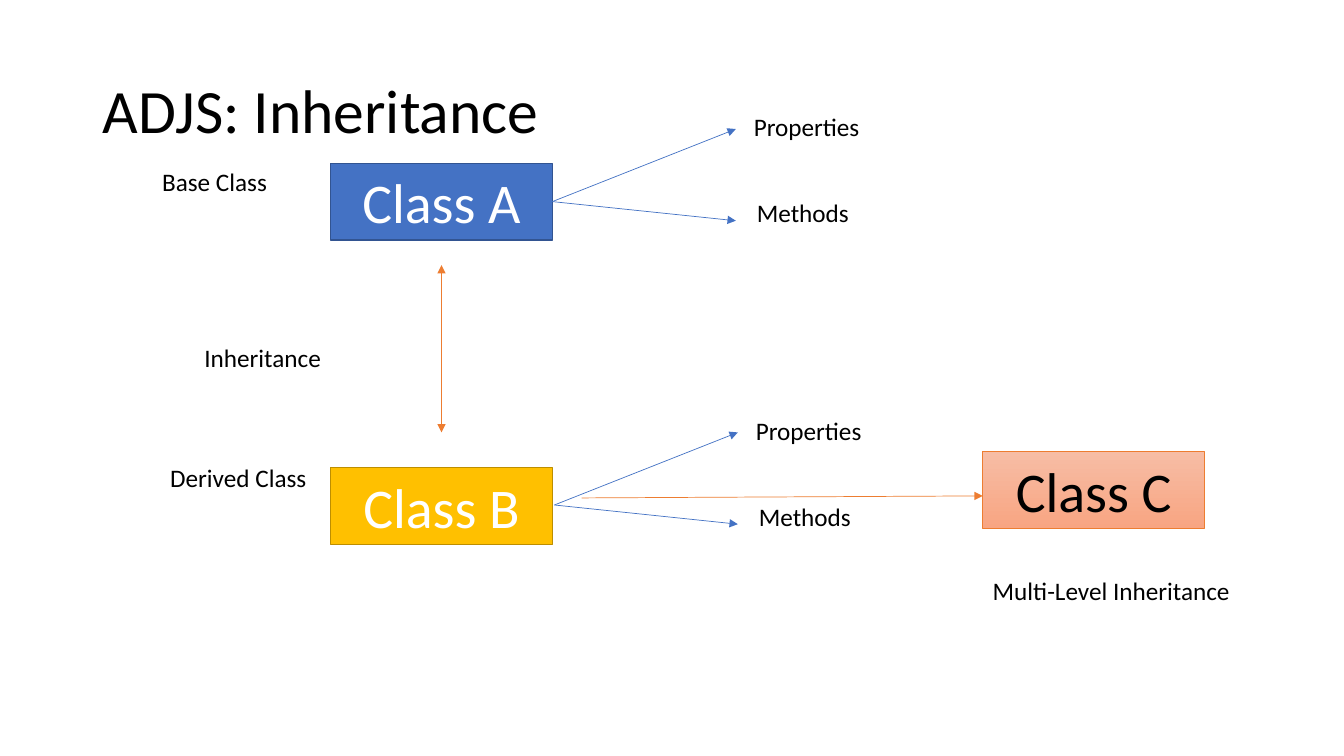
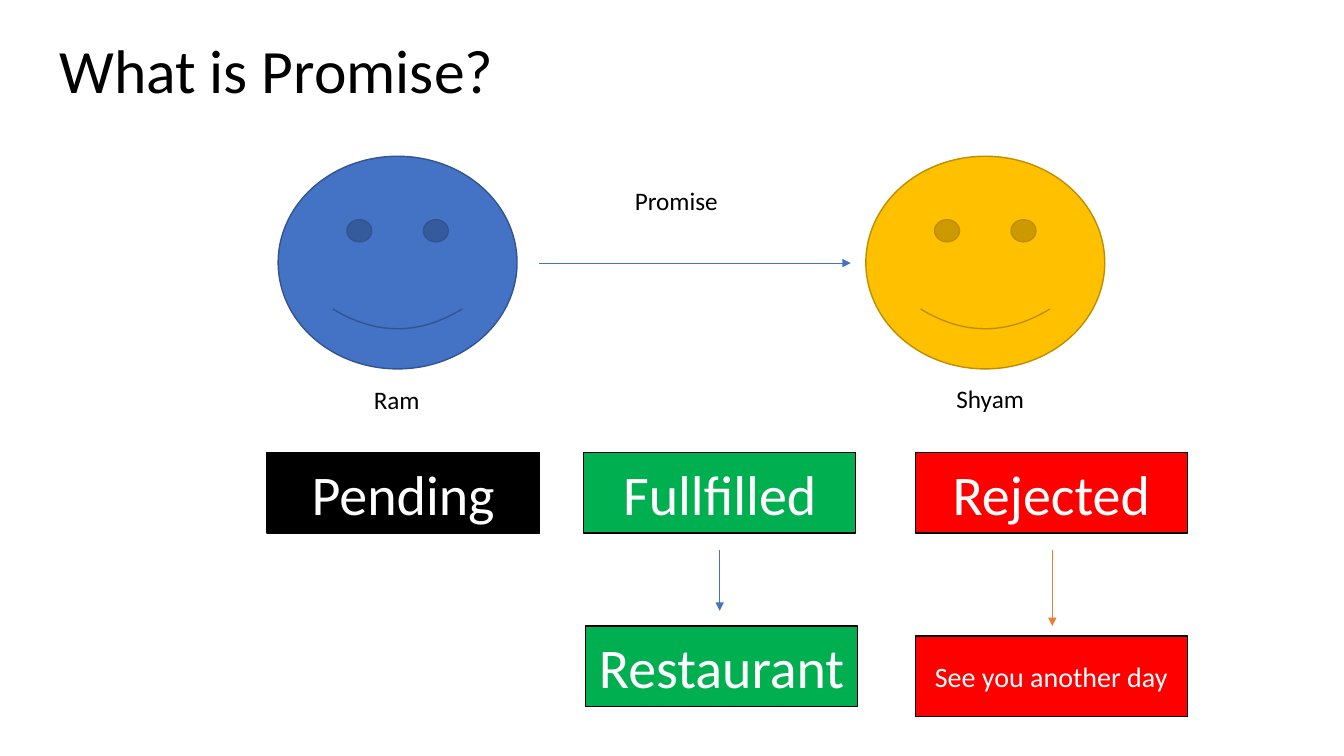
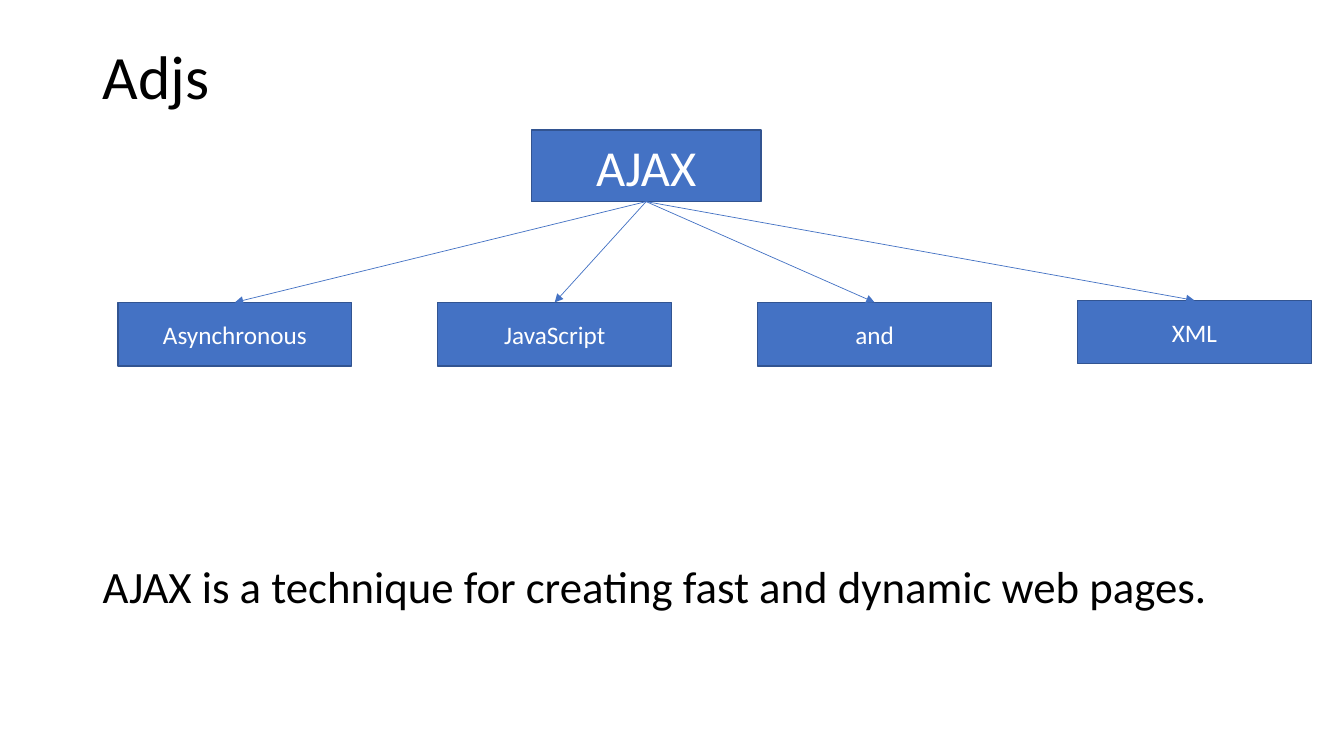
from lxml import etree
from pptx import Presentation
from pptx import util as u
from pptx.dml import color as dml
from pptx.enum import shapes, text
from pptx.oxml import ns

FONT = "Calibri"
BLACK = dml.RGBColor(0x00, 0x00, 0x00)
WHITE = dml.RGBColor(0xFF, 0xFF, 0xFF)
BLUE = dml.RGBColor(0x44, 0x72, 0xC4)
NAVY = dml.RGBColor(0x32, 0x54, 0x91)
GOLD = dml.RGBColor(0xFF, 0xC0, 0x00)
OLIVE = dml.RGBColor(0xBD, 0x8E, 0x00)
ORANGE = dml.RGBColor(0xED, 0x7D, 0x31)
PALE_PEACH = dml.RGBColor(0xF7, 0xBD, 0xA5)
PEACH = dml.RGBColor(0xF8, 0xA5, 0x82)
GREEN = dml.RGBColor(0x00, 0xB0, 0x50)
RED = dml.RGBColor(0xFF, 0x00, 0x00)


def write(frame, words, size=18, color=BLACK, align=text.PP_ALIGN.LEFT,
          anchor=text.MSO_ANCHOR.TOP, wrap=True, spacing=None):
    frame.word_wrap = wrap
    frame.vertical_anchor = anchor
    para = frame.paragraphs[0]
    para.alignment = align
    para.line_spacing = spacing
    span = para.add_run()
    span.text = words
    span.font.name = FONT
    span.font.size = u.Pt(size)
    span.font.color.rgb = color


class Builder:
    def __init__(self):
        self.deck = Presentation()
        self.deck.slide_width = u.Pt(960)
        self.deck.slide_height = u.Pt(540)
        self.page = None

    def start(self, title, left=66.24, top=28.8, height=104.4):
        self.page = self.deck.slides.add_slide(self.deck.slide_layouts[6])
        box = self.page.shapes.add_textbox(*map(u.Pt, (left, top, 828, height)))
        write(box.text_frame, title, size=44, spacing=0.9,
              anchor=text.MSO_ANCHOR.MIDDLE)

    def label(self, words, left, top, width, height=28.8, **look):
        box = self.page.shapes.add_textbox(*map(u.Pt, (left, top, width, height)))
        write(box.text_frame, words, **look)
        box.text_frame.auto_size = text.MSO_AUTO_SIZE.SHAPE_TO_FIT_TEXT

    def shape(self, left, top, width, height, fill, line, weight=1,
              kind=shapes.MSO_SHAPE.RECTANGLE):
        shape = self.page.shapes.add_shape(
            kind, *map(u.Pt, (left, top, width, height)))
        shape.shadow.inherit = False
        if isinstance(fill, list):
            shape.fill.gradient()
            shape.fill.gradient_angle = 270
            for stop, color in zip(shape.fill.gradient_stops, fill):
                stop.color.rgb = color
        else:
            shape.fill.solid()
            shape.fill.fore_color.rgb = fill
        shape.line.color.rgb = line
        shape.line.width = u.Pt(weight)
        return shape

    def block(self, words, left, top, width, height, fill=BLUE, line=NAVY,
              weight=1, size=40, color=WHITE):
        shape = self.shape(left, top, width, height, fill, line, weight)
        write(shape.text_frame, words, size=size, color=color,
              align=text.PP_ALIGN.CENTER, anchor=text.MSO_ANCHOR.MIDDLE)

    def arrow(self, x1, y1, x2, y2, color=BLUE, both=False):
        arrow = self.page.shapes.add_connector(
            shapes.MSO_CONNECTOR.STRAIGHT, *map(u.Pt, (x1, y1, x2, y2)))
        arrow.line.color.rgb = color
        arrow.line.width = u.Pt(0.5)
        props = arrow.element.spPr
        outline = props.find(ns.qn("a:ln"))
        for end in ("a:headEnd", "a:tailEnd") if both else ("a:tailEnd",):
            etree.SubElement(outline, ns.qn(end), type="triangle")
        etree.SubElement(props, ns.qn("a:effectLst"))

    def members(self, x, y):
        self.arrow(x, y, x + 131.04, y - 51.84)
        self.arrow(x, y, x + 131.04, y + 13.68)
        self.label("Properties", x + 136.8, y - 67.68, 90.72, wrap=False)
        self.label("Methods", x + 138.96, y - 6.48, 80.64, wrap=False)


def inheritance(builder):
    builder.start("ADJS: Inheritance")
    size = (158.4, 54.72)
    builder.block("Class A", 236.16, 116.64, *size)
    builder.block("Class B", 236.16, 334.08, *size, fill=GOLD, line=OLIVE)
    builder.block("Class C", 702, 322.56, *size, fill=[PALE_PEACH, PEACH],
                  line=ORANGE, weight=0.5, color=BLACK)
    builder.members(394.56, 144)
    builder.members(396, 360.72)
    builder.arrow(315.36, 189.36, 315.36, 308.88, color=ORANGE, both=True)
    builder.arrow(415.44, 355.68, 702, 354.24, color=ORANGE)
    builder.label("Base Class", 108.72, 115.2, 121.68)
    builder.label("Derived Class", 114.48, 326.88, 121.68)
    builder.label("Inheritance", 138.96, 241.2, 98.64, wrap=False)
    builder.label("Multi-Level Inheritance", 702, 407.52, 185.76, wrap=False)


def promise(builder):
    builder.start("What is Promise?", left=35.28, top=0)
    for left, fill, line in ((198.72, BLUE, NAVY), (618.48, GOLD, OLIVE)):
        builder.shape(left, 111.6, 170.64, 151.92, fill, line,
                      kind=shapes.MSO_SHAPE.SMILEY_FACE)
    builder.label("Ram", 259.92, 270.72, 91.44)
    builder.label("Shyam", 676.08, 270, 91.44)
    builder.arrow(385.2, 187.92, 607.68, 187.92)
    builder.label("Promise", 446.4, 128.88, 74.16, wrap=False)
    for words, left, top, fill, size in (
            ("Pending", 190.8, 323.28, BLACK, 40),
            ("Fullfilled", 416.88, 323.28, GREEN, 40),
            ("Rejected", 653.76, 323.28, RED, 40),
            ("Restaurant", 418.32, 447.12, GREEN, 40),
            ("See you another day", 653.76, 454.32, RED, 20)):
        builder.block(words, left, top, 194.4, 57.6, fill=fill, line=BLACK,
                      size=size)
    builder.arrow(514.08, 393.12, 514.08, 436.32)
    builder.arrow(751.68, 393.12, 751.68, 447.12, color=ORANGE)


def ajax(builder):
    builder.start("Adjs", height=56.16)
    builder.block("AJAX", 379.44, 92.88, 164.16, 51.12, size=36)
    width, pitch = 167.04, 228.48
    parts = (("Asynchronous", 216), ("JavaScript", 216), ("and", 216),
             ("XML", 214.56))
    for index, (words, top) in enumerate(parts):
        left = 84.24 + index * pitch
        builder.block(words, left, top, width, 45.36, size=18)
        builder.arrow(461.52, 144, left + width / 2, top)
    builder.label("AJAX is a technique for creating fast and dynamic web pages.",
                  66.24, 395.28, 871.2, 46.08, size=32)


builder = Builder()
for draw in (inheritance, promise, ajax):
    draw(builder)
builder.deck.save("out.pptx")
